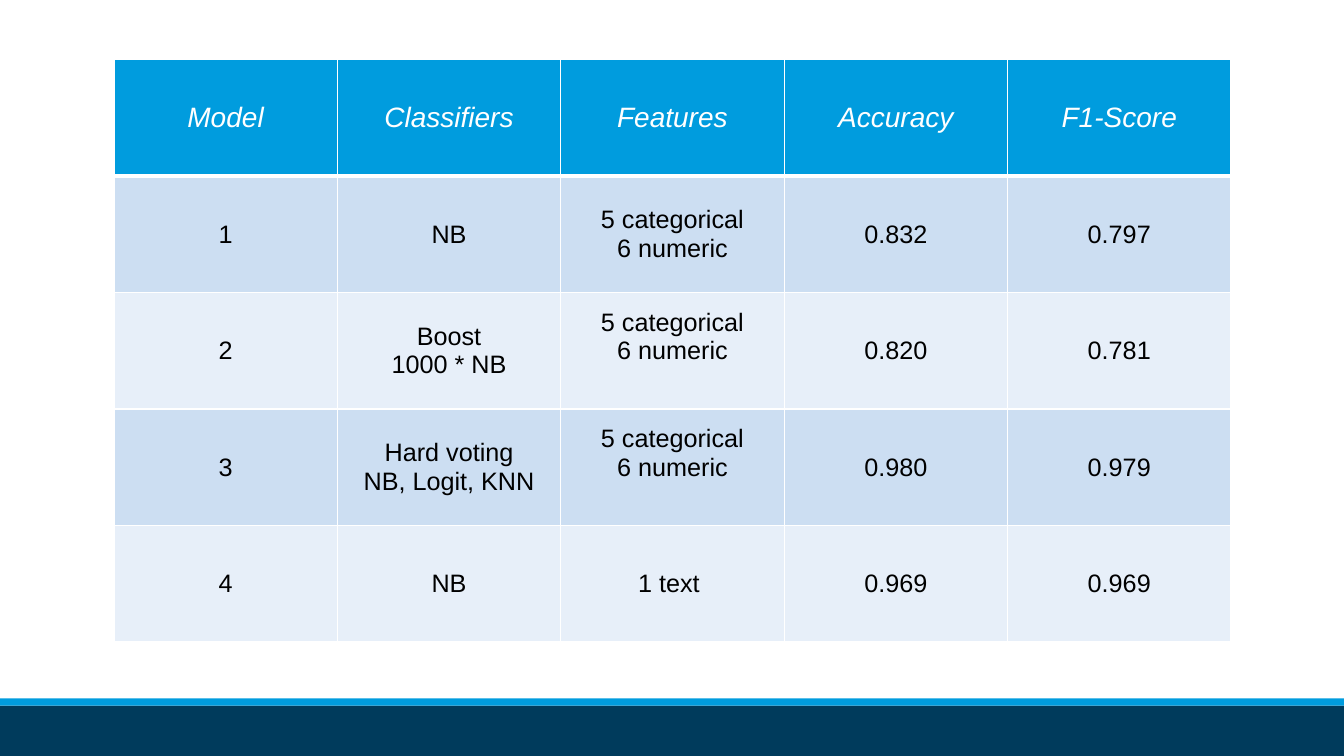
import pptx
import pptx.dml.color
import pptx.enum.shapes
import pptx.enum.text
import pptx.util
import lxml.etree

Inches = pptx.util.Inches
Pt = pptx.util.Pt
NS = "http://schemas.openxmlformats.org/drawingml/2006/main"

BLUE, NAVY, WHITE, BLACK = "009CDE", "003B5C", "FFFFFF", "000000"
BANDS = ["CCDEF2", "E7EFF9"]
INPUTS = "5 categorical\n6 numeric"
ROWS = [
    ["Model", "Classifiers", "Features", "Accuracy", "F1-Score"],
    ["1", "NB", INPUTS, "0.832", "0.797"],
    ["2", "Boost\n1000 * NB", INPUTS, "0.820", "0.781"],
    ["3", "Hard voting\nNB, Logit, KNN", INPUTS, "0.980", "0.979"],
    ["4", "NB", "1 text ", "0.969", "0.969"],
]
RAISED = [(2, 2), (3, 2)]  # row, column of cells whose text sits higher


def color(code):
    return pptx.dml.color.RGBColor.from_string(code)


class Deck:
    """Holds the style and the current slide."""

    def __init__(self, font):
        self.font = font
        self.show = pptx.Presentation()
        self.show.slide_width = Inches(13.33)
        self.show.slide_height = Inches(7.5)
        self.slide = self.show.slides.add_slide(self.show.slide_layouts[6])

    def bar(self, top, height, fill):
        shape = self.slide.shapes.add_shape(
            pptx.enum.shapes.MSO_SHAPE.RECTANGLE,
            0, Inches(top), self.show.slide_width, Inches(height))
        shape.shadow.inherit = False
        shape.fill.solid()
        shape.fill.fore_color.rgb = color(fill)
        shape.line.fill.background()

    def border(self, cell, side, width):
        props = cell._tc.get_or_add_tcPr()
        line = lxml.etree.SubElement(props, f"{{{NS}}}ln{side}", w=str(Pt(width)))
        fill = lxml.etree.SubElement(line, f"{{{NS}}}solidFill")
        lxml.etree.SubElement(fill, f"{{{NS}}}srgbClr", val=WHITE)

    def cell(self, cell, text, fill, ink, size, italic):
        cell.fill.solid()
        cell.fill.fore_color.rgb = color(fill)
        cell.vertical_anchor = pptx.enum.text.MSO_ANCHOR.MIDDLE
        frame = cell.text_frame
        for i, words in enumerate(text.split("\n")):
            para = frame.add_paragraph() if i else frame.paragraphs[0]
            para.alignment = pptx.enum.text.PP_ALIGN.CENTER
            run = para.add_run()
            run.text = words
            run.font.name = self.font
            run.font.size = Pt(size)
            run.font.bold = False
            run.font.italic = italic
            run.font.color.rgb = color(ink)

    def table(self, rows, left, top, width, height):
        """Add a table with a header row, banded rows and white rules."""
        grid = self.slide.shapes.add_table(
            len(rows), len(rows[0]), Inches(left), Inches(top),
            Inches(width), Inches(height)).table
        grid.horz_banding = False
        for r, row in enumerate(rows):
            head = r == 0
            for c, text in enumerate(row):
                cell = grid.cell(r, c)
                for side in "LRTB":
                    thick = (r, side) in [(0, "B"), (1, "T")]
                    self.border(cell, side, 3 if thick else 1)
                if head:
                    self.cell(cell, text, BLUE, WHITE, 20, True)
                else:
                    self.cell(cell, text, BANDS[(r - 1) % 2], BLACK, 18, False)
        return grid


def main():
    deck = Deck("Arial")
    deck.bar(7, 0.5, NAVY)
    deck.bar(6.93, 0.07, BLUE)
    grid = deck.table(ROWS, 1.13, 0.59, 11.08, 5.78)
    for r, c in RAISED:
        grid.cell(r, c).margin_bottom = Inches(0.33)
    deck.show.save("out.pptx")


if __name__ == "__main__":
    main()
